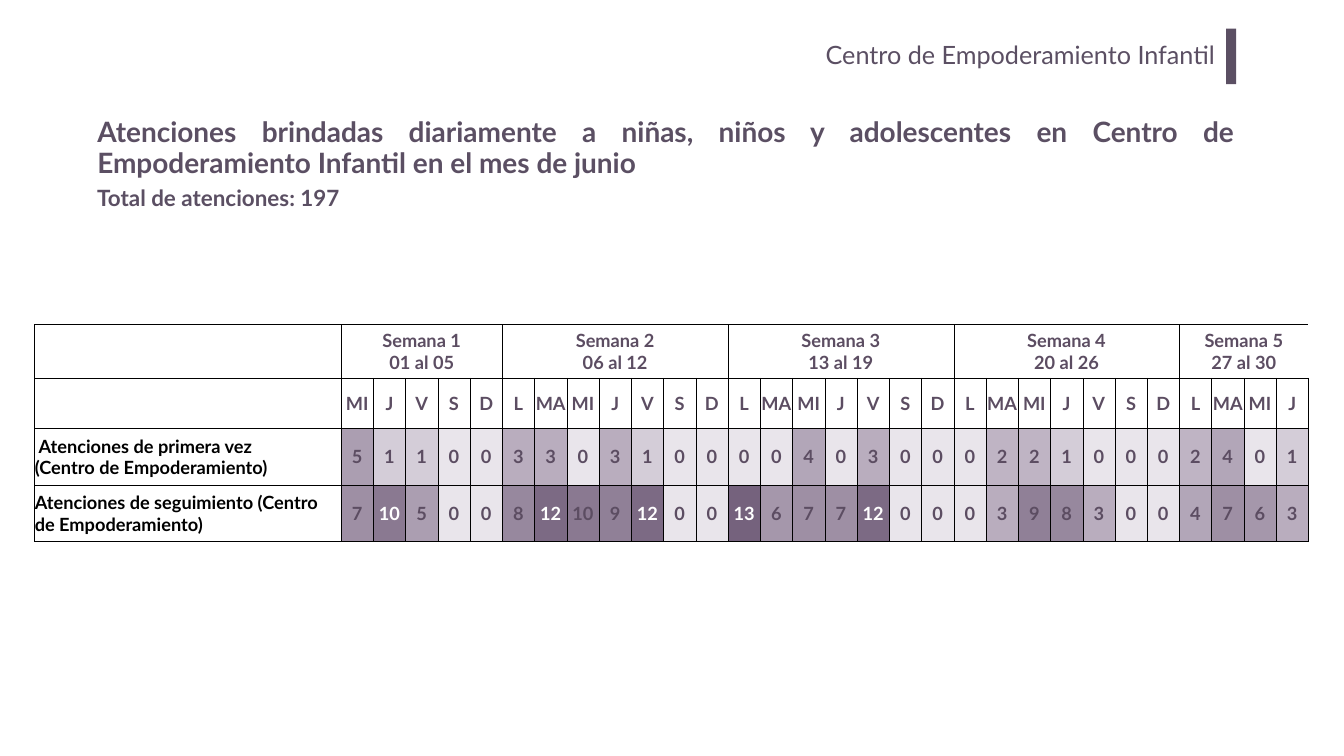
from lxml import etree
from pptx import Presentation
from pptx.dml.color import RGBColor
from pptx.enum.shapes import MSO_SHAPE
from pptx.enum.text import MSO_ANCHOR, MSO_AUTO_SIZE, PP_ALIGN
from pptx.oxml.ns import qn
from pptx.util import Emu, Pt

PX = 9144
FONT = "Lato"
LEFT, CENTER, RIGHT, JUSTIFY = PP_ALIGN.LEFT, PP_ALIGN.CENTER, PP_ALIGN.RIGHT, PP_ALIGN.JUSTIFY
MIDDLE = MSO_ANCHOR.MIDDLE
FIXED = MSO_AUTO_SIZE.NONE
RECTANGLE = MSO_SHAPE.RECTANGLE
NO_TABLE_STYLE = "{2D5ABB26-0587-4C30-8999-92F81FD0307C}"

COLORS = {
    "plum": "5B4F63",
    "table_text": "5C4D62",
    "black": "000000",
    "white": "FFFFFF",
}
HEAT = {
    0: "E9E5EB", 1: "D4CDD8", 2: "BFB4C4", 3: "B9ADBE", 4: "B2A6B8",
    5: "AB9EB1", 6: "A597AB", 7: "9E8FA4", 8: "97889E", 9: "908097",
    10: "8A7991", 12: "7C6A84", 13: "75627D",
}

WEEKS = [
    ("Semana 1\v01 al 05", ["MI", "J", "V", "S", "D"]),
    ("Semana 2\v06 al 12", ["L", "MA", "MI", "J", "V", "S", "D"]),
    ("Semana 3\v13 al 19", ["L", "MA", "MI", "J", "V", "S", "D"]),
    ("Semana 4\v20 al 26", ["L", "MA", "MI", "J", "V", "S", "D"]),
    ("Semana 5\v27 al 30", ["L", "MA", "MI", "J"]),
]
SERIES = [
    (" Atenciones de primera vez\n(Centro de Empoderamiento)",
     [5, 1, 1, 0, 0, 3, 3, 0, 3, 1, 0, 0, 0, 0, 4,
      0, 3, 0, 0, 0, 2, 2, 1, 0, 0, 0, 2, 4, 0, 1]),
    ("Atenciones de seguimiento (Centro de Empoderamiento)",
     [7, 10, 5, 0, 0, 8, 12, 10, 9, 12, 0, 0, 13, 6, 7,
      7, 12, 0, 0, 0, 3, 9, 8, 3, 0, 0, 4, 7, 6, 3]),
]
WHITE_TEXT_DAYS = {(3, 2), (3, 7), (3, 10), (3, 13), (3, 17)}
ROW_HEIGHTS = [106, 100, 112, 112]
LABEL_WIDTH, DAY_WIDTH = 609, 64


def px(*lengths):
    return [Emu(length * PX) for length in lengths]


def write(text_frame, text, size, color, align=LEFT, bold=True):
    text_frame.text = text
    text_frame.word_wrap = True
    for paragraph in text_frame.paragraphs:
        paragraph.alignment = align
        font = paragraph.font
        font.name, font.size, font.bold = FONT, Pt(size), bold
        font.color.rgb = RGBColor.from_string(COLORS[color])


def add_header(slide, left, top):
    box = slide.shapes.add_textbox(*px(left, top + 10, 2030, 102))
    frame = box.text_frame
    frame.margin_left, frame.margin_right, frame.margin_top, frame.margin_bottom = px(20, 20, 10, 10)
    write(frame, "Centro de Empoderamiento Infantil", 36, "plum", RIGHT, False)
    bar = slide.shapes.add_shape(RECTANGLE, *px(left + 2032, top, 20, 110))
    bar.shadow.inherit = False
    bar.fill.solid()
    bar.fill.fore_color.rgb = RGBColor.from_string(COLORS["plum"])
    bar.line.fill.background()


def add_heading(slide, left, top, width):
    title = slide.shapes.title
    title.left, title.top, title.width, title.height = px(left, top, width, 145)
    frame = title.text_frame
    frame.auto_size = FIXED
    frame.vertical_anchor = MIDDLE
    write(frame, "Atenciones brindadas diariamente a niñas, niños y adolescentes en "
          "Centro de Empoderamiento Infantil en el mes de junio", 40, "plum", JUSTIFY)
    frame.paragraphs[0].line_spacing = 0.9
    total = slide.shapes.add_textbox(*px(left, top + 138, 564, 64))
    write(total.text_frame, "Total de atenciones: 197", 32, "plum")


def add_borders(cell, sides):
    properties = cell._tc.get_or_add_tcPr()
    for side in sides:
        line = etree.SubElement(properties, qn(f"a:ln{side}"), w=str(Pt(0.5)))
        fill = etree.SubElement(line, qn("a:solidFill"))
        etree.SubElement(fill, qn("a:srgbClr"), val=COLORS["black"])


def fill_cell(cell, text, color="table_text", align=CENTER):
    cell.vertical_anchor = MIDDLE
    cell.margin_left, cell.margin_right, cell.margin_top, cell.margin_bottom = px(1, 1, 1, 0)
    write(cell.text_frame, text, 26, color, align)


def add_calendar(slide, left, top):
    days = [day for _, week_days in WEEKS for day in week_days]
    frame = slide.shapes.add_table(
        len(ROW_HEIGHTS), len(days) + 1,
        *px(left, top, LABEL_WIDTH + DAY_WIDTH * len(days), sum(ROW_HEIGHTS)))
    table = frame.table
    table._tbl.tblPr.find(qn("a:tableStyleId")).text = NO_TABLE_STYLE
    table.first_row = table.horz_banding = False
    for row, height in zip(table.rows, px(*ROW_HEIGHTS)):
        row.height = height
    for column, width in zip(table.columns, px(LABEL_WIDTH, *[DAY_WIDTH] * len(days))):
        column.width = width

    start = 1
    for name, week_days in WEEKS:
        cell = table.cell(0, start)
        cell.merge(table.cell(0, start + len(week_days) - 1))
        fill_cell(cell, name)
        start += len(week_days)
    last_week = start - len(WEEKS[-1][1])

    for column, day in enumerate(days, 1):
        fill_cell(table.cell(1, column), day)
    for row, (label, values) in enumerate(SERIES, 2):
        fill_cell(table.cell(row, 0), label, "black", LEFT)
        for column, value in enumerate(values, 1):
            color = "white" if (row, column) in WHITE_TEXT_DAYS else "table_text"
            fill_cell(table.cell(row, column), str(value), color)

    for row in range(len(ROW_HEIGHTS)):
        for column in range(len(days) + 1):
            cell = table.cell(row, column)
            if cell.is_spanned:
                continue
            add_borders(cell, "LTB" if (row, column) == (0, last_week) else "LRTB")
            if row >= 2 and column >= 1:
                cell.fill.solid()
                value = SERIES[row - 2][1][column - 1]
                cell.fill.fore_color.rgb = RGBColor.from_string(HEAT[value])
            else:
                cell.fill.background()


def main():
    presentation = Presentation()
    presentation.slide_width, presentation.slide_height = px(2667, 1500)
    slide = presentation.slides.add_slide(presentation.slide_layouts[5])
    add_header(slide, 401, 57)
    add_heading(slide, 183, 223, 2276)
    add_calendar(slide, 68, 644)
    presentation.save("out.pptx")


if __name__ == "__main__":
    main()
